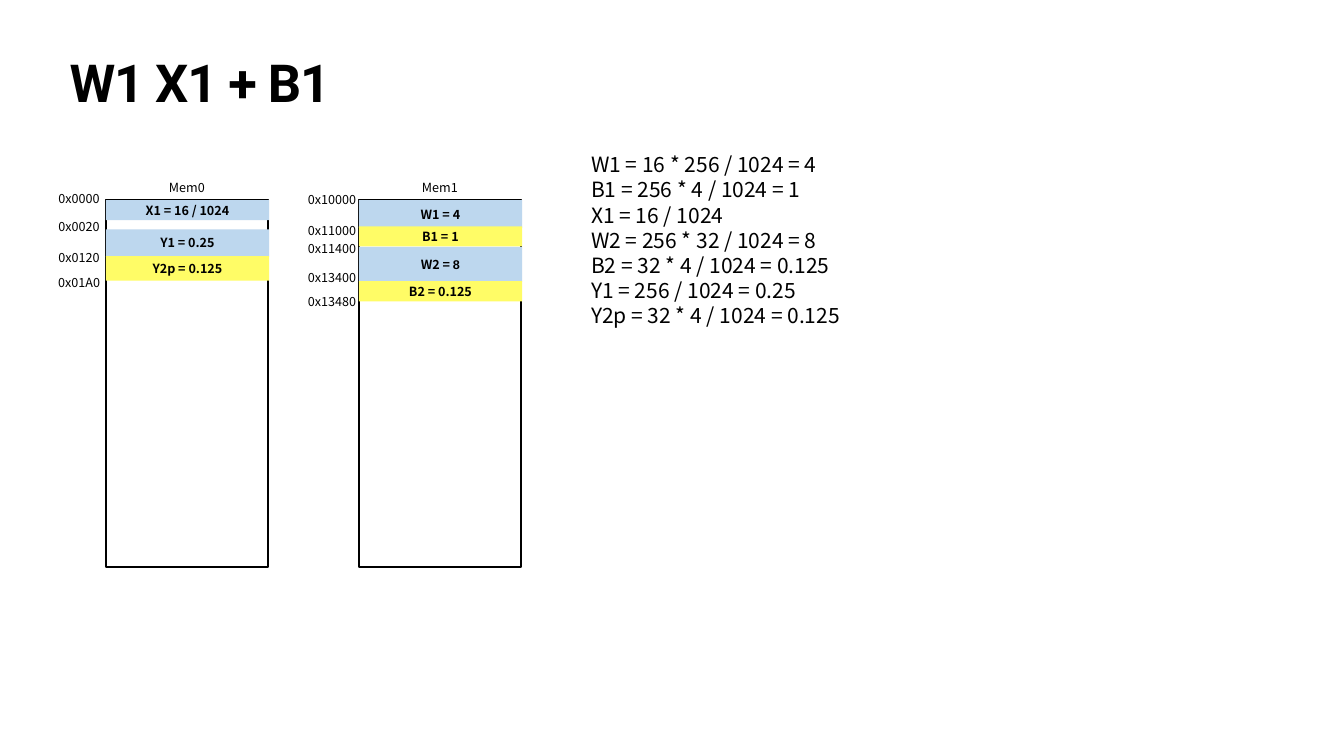
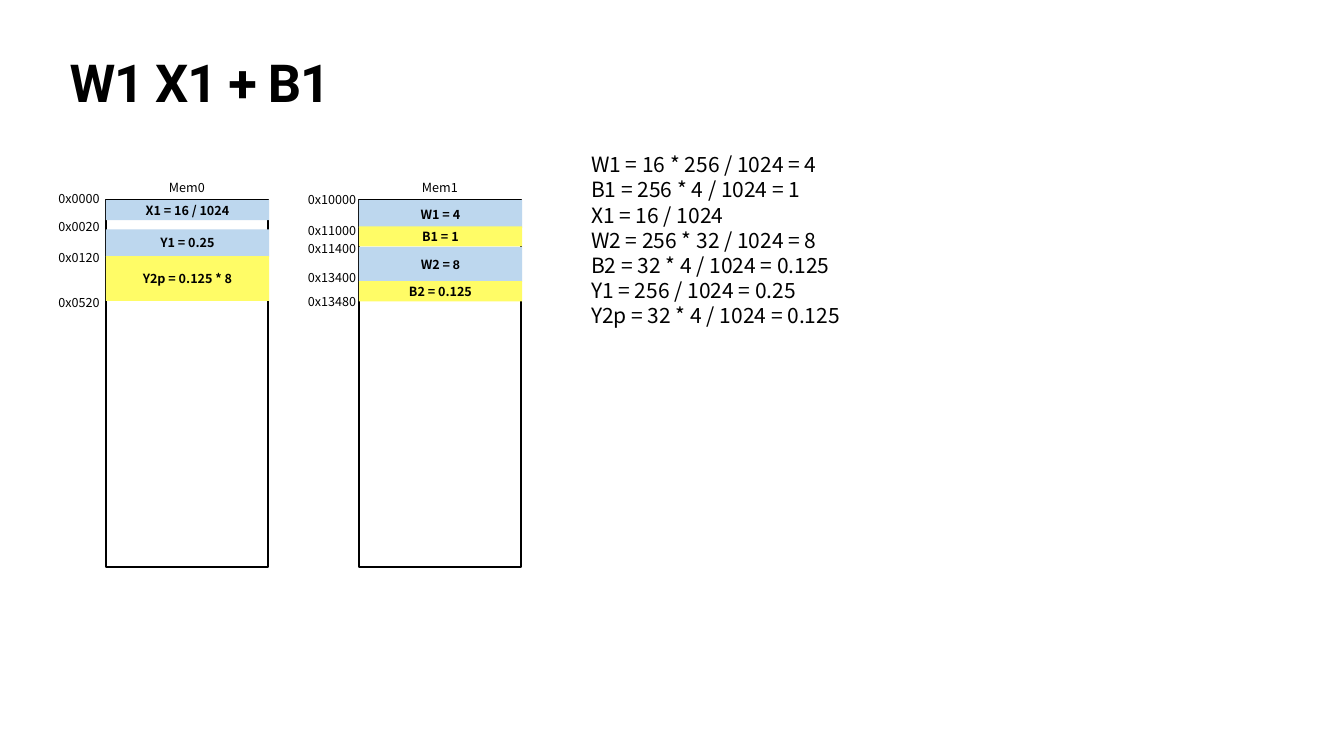
from dataclasses import dataclass

from pptx import Presentation
from pptx.dml.color import RGBColor as RGB
from pptx.enum.shapes import MSO_SHAPE as SHAPE
from pptx.enum.text import MSO_ANCHOR as ANCHOR, MSO_AUTO_SIZE as FIT, PP_ALIGN as ALIGN
from pptx.util import Inches, Pt


@dataclass(frozen=True)
class Theme:
    """Colours, fonts and type sizes of the deck."""
    black: RGB = RGB.from_string("000000")
    blue: RGB = RGB.from_string("BDD7EE")
    yellow: RGB = RGB.from_string("FFFC66")
    title_font: str = "Roboto"
    body_font: str = "Noto Sans CJK SC"
    digit_font: str = "Arial"
    title_size: float = 74.8
    body_size: float = 30
    label_size: float = 18
    frame_line: float = 2.25


@dataclass(frozen=True)
class Block:
    """A used range of a memory, measured from the memory's top."""
    text: str
    top: float
    height: float
    color: RGB
    digit: str = ""


T = Theme()
TITLE = "W1 X1 + B1"
TITLE_BOX = (1.32, 1.18, 24.03, 1.57)
FORMULA_BOX = (11.68, 2.96, 13.3, 4.64)
MEM0_BOX = (2.1, 3.96, 3.22, 7.29)
MEM1_BOX = (7.12, 3.96, 3.22, 7.29)
LABEL_W, LABEL_H = 1.1, 0.4
FORMULAS = [
    "W1 = 16 * 256 / 1024 = 4",
    "B1 = 256 * 4 / 1024 = 1",
    "X1 = 16 / 1024",
    "W2 = 256 * 32 / 1024 = 8",
    "B2 = 32 * 4 / 1024 = 0.125",
    "Y1 = 256 / 1024 = 0.25",
    "Y2p = 32 * 4 / 1024 = 0.125",
]
INPUT_BLOCKS = [
    Block("X1 = 16 / 1024", 0.01, 0.4, T.blue),
    Block("Y1 = 0.25", 0.59, 0.54, T.blue),
]
INPUT_ADDRESSES = [("0x0000", -0.22), ("0x0020", 0.34), ("0x0120", 0.95)]
WEIGHT_BLOCKS = [
    Block("W1 = 4", 0.01, 0.55, T.blue),
    Block("B1 = 1", 0.53, 0.4, T.yellow),
    Block("W2 = ", 0.94, 0.69, T.blue, digit="8"),
    Block("B2 = 0.125", 1.62, 0.4, T.yellow),
]
WEIGHT_ADDRESSES = [("0x10000", -0.21), ("0x11000", 0.41), ("0x11400", 0.77),
                    ("0x13400", 1.35), ("0x13480", 1.83)]
VARIANTS = [
    (Block("Y2p = 0.125", 1.12, 0.49, T.yellow), ("0x01A0", 1.45)),
    (Block("Y2p = 0.125 * 8", 1.12, 0.89, T.yellow), ("0x0520", 1.84)),
]


def set_frame(tf, inset=0.05):
    """Wrap the text and give it equal insets."""
    tf.word_wrap = True
    tf.margin_left = tf.margin_right = tf.margin_top = tf.margin_bottom = Inches(inset)


def style(p, size, font=T.body_font, bold=False, align=ALIGN.LEFT):
    """Set the alignment and font of a paragraph."""
    p.alignment = align
    p.font.name, p.font.size, p.font.bold = font, Pt(size), bold
    p.font.color.rgb = T.black


def add_text(s, box, lines, size, align=ALIGN.LEFT):
    """Add a text box that grows with its lines."""
    tf = s.shapes.add_textbox(*map(Inches, box)).text_frame
    set_frame(tf)
    tf.auto_size = FIT.SHAPE_TO_FIT_TEXT
    tf.text = "\n".join(lines)
    for p in tf.paragraphs:
        style(p, size, align=align)


def add_title(s, box):
    """Add the tightly spaced slide title."""
    tf = s.shapes.add_textbox(*map(Inches, box)).text_frame
    set_frame(tf, 0.06)
    p = tf.paragraphs[0]
    p.line_spacing = 0.8
    style(p, T.title_size, T.title_font, bold=True)
    r = p.add_run()
    r.text = TITLE
    r._r.get_or_add_rPr().set("spc", "-150")


def add_rect(s, box):
    """Add a plain rectangle without fill, line or shadow."""
    sp = s.shapes.add_shape(SHAPE.RECTANGLE, *map(Inches, box))
    sp.shadow.inherit = False
    sp.fill.background()
    sp.line.fill.background()
    return sp


def add_block(s, box, block):
    """Add a coloured memory block with its value."""
    sp = add_rect(s, box)
    sp.fill.solid()
    sp.fill.fore_color.rgb = block.color
    tf = sp.text_frame
    set_frame(tf)
    tf.vertical_anchor = ANCHOR.MIDDLE
    p = tf.paragraphs[0]
    style(p, T.label_size, bold=True, align=ALIGN.CENTER)
    p.add_run().text = block.text
    if block.digit:
        r = p.add_run()
        r.text, r.font.name = block.digit, T.digit_font


def add_memory(s, box, name, blocks, addresses):
    """Draw a memory: name, frame, blocks and addresses."""
    x, y, w, h = box
    add_text(s, (x + (w - LABEL_W) / 2, y - 0.43, LABEL_W, LABEL_H), [name],
             T.label_size, ALIGN.CENTER)
    frame = add_rect(s, box)
    frame.line.color.rgb = T.black
    frame.line.width = Pt(T.frame_line)
    for block in blocks:
        add_block(s, (x, y + block.top, w + 0.02, block.height), block)
    for address, top in addresses:
        add_text(s, (x - 1.08, y + top, LABEL_W, LABEL_H), [address],
                 T.label_size, ALIGN.CENTER)


def add_memory_slide(prs, output_block, end_address):
    """Add a slide with both memories and the size formulas."""
    s = prs.slides.add_slide(prs.slide_layouts[6])
    add_title(s, TITLE_BOX)
    add_memory(s, MEM1_BOX, "Mem1", WEIGHT_BLOCKS, WEIGHT_ADDRESSES)
    add_text(s, FORMULA_BOX, FORMULAS, T.body_size)
    add_memory(s, MEM0_BOX, "Mem0", INPUT_BLOCKS + [output_block],
               INPUT_ADDRESSES + [end_address])


def main():
    """Build and save the deck."""
    prs = Presentation()
    prs.slide_width, prs.slide_height = Inches(26.67), Inches(15)
    for output_block, end_address in VARIANTS:
        add_memory_slide(prs, output_block, end_address)
    prs.save("out.pptx")


if __name__ == "__main__":
    main()
